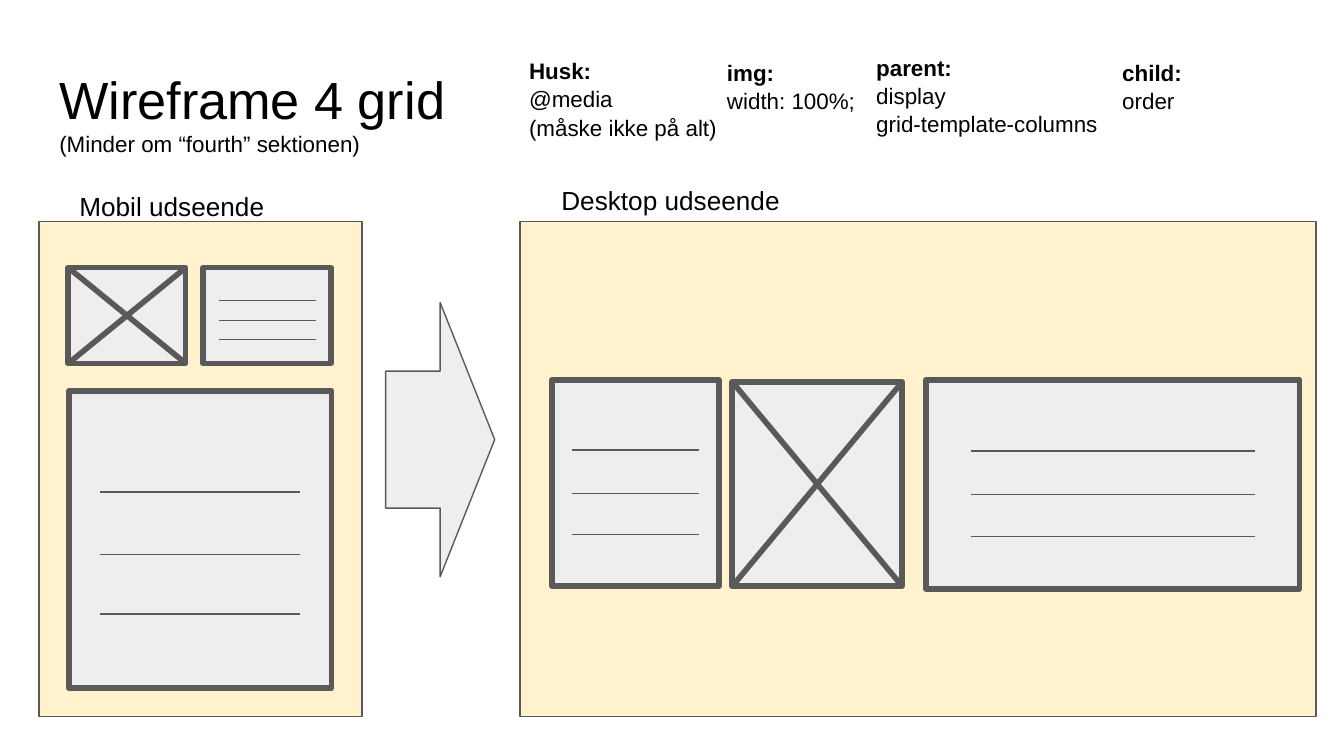
import pptx
import pptx.util
import pptx.dml.color
import pptx.enum.shapes
import pptx.enum.text
import pptx.oxml.ns
import lxml.etree

Cm, Pt = pptx.util.Cm, pptx.util.Pt
MSO_SHAPE = pptx.enum.shapes.MSO_SHAPE
COLORS = {"text": "000000", "screen": "FFF2CC", "block": "EEEEEE", "line": "595959"}


def rgb(name):
    return pptx.dml.color.RGBColor.from_string(COLORS[name])


def style_line(obj, width):
    """Grey outline with rounded joins and no shadow."""
    obj.line.color.rgb = rgb("line")
    obj.line.width = Pt(width)
    qn = pptx.oxml.ns.qn
    lxml.etree.SubElement(obj.line._get_or_add_ln(), qn("a:round"))
    lxml.etree.SubElement(obj._element.spPr, qn("a:effectLst"))


prs = pptx.Presentation()
prs.slide_width, prs.slide_height = Cm(25.4), Cm(14.29)
s = prs.slides.add_slide(prs.slide_layouts[5])

# Title with a small subtitle line
title = s.shapes.title
title.left, title.top, title.width, title.height = Cm(0.87), Cm(1.02), Cm(23.67), Cm(1.6)
tf = title.text_frame
tf.text = "Wireframe 4 grid\n(Minder om “fourth” sektionen)"
tf.auto_size = pptx.enum.text.MSO_AUTO_SIZE.NONE
tf.vertical_anchor = pptx.enum.text.MSO_ANCHOR.TOP
tf.margin_left = tf.margin_right = tf.margin_top = tf.margin_bottom = Cm(0.25)
for p, size in zip(tf.paragraphs, (28, 12)):
    p.alignment = pptx.enum.text.PP_ALIGN.LEFT
    p.font.name, p.font.size = "Arial", Pt(size)
    p.font.color.rgb = rgb("text")

# Screens and the arrow from mobile to desktop: kind, left, top, width, height, fill
backdrops = [
    (MSO_SHAPE.RECTANGLE, 9.83, 4.19, 15.04, 9.35, "screen"),
    (MSO_SHAPE.RIGHT_ARROW, 7.29, 5.72, 2.06, 5.18, "block"),
    (MSO_SHAPE.RECTANGLE, 0.74, 4.19, 6.1, 9.35, "screen"),
]
for kind, x, y, w, h, fill in backdrops:
    sp = s.shapes.add_shape(kind, Cm(x), Cm(y), Cm(w), Cm(h))
    sp.fill.solid()
    sp.fill.fore_color.rgb = rgb(fill)
    style_line(sp, 0.75)

# Wireframe blocks: an image is crossed out, a text holds three lines
blocks = [
    ("image", 13.84, 7.22, 3.21, 3.86),
    ("text", 10.43, 7.18, 3.16, 3.9),
    ("text", 17.5, 7.18, 7.06, 3.95),
    ("text", 3.84, 5.06, 2.42, 1.81),
    ("image", 1.29, 5.06, 2.22, 1.81),
    ("text", 1.3, 7.39, 4.97, 5.62),
]
# Line ends as shares of the block's width and height: x1, y1, x2, y2
strokes = {
    "image": [(0, 0, 1, 1), (0, 1, 1, 0)],
    "text": [(0.12, share, 0.88, share) for share in (0.34, 0.55, 0.75)],
}
widths = {"image": 3, "text": 0.75}
for kind, x, y, w, h in blocks:
    group = s.shapes.add_group_shape()
    sp = group.shapes.add_shape(MSO_SHAPE.RECTANGLE, Cm(x), Cm(y), Cm(w), Cm(h))
    sp.fill.solid()
    sp.fill.fore_color.rgb = rgb("block")
    style_line(sp, 3)
    for x1, y1, x2, y2 in strokes[kind]:
        line = group.shapes.add_connector(
            pptx.enum.shapes.MSO_CONNECTOR.STRAIGHT,
            Cm(x + x1 * w), Cm(y + y1 * h), Cm(x + x2 * w), Cm(y + y2 * h))
        style_line(line, widths[kind])

# Screen labels and CSS reminders: left, top, width, height, size, lines
texts = [
    (1.25, 3.35, 5.26, 1.19, 14, ["Mobil udseende"]),
    (10.36, 3.23, 8.31, 1.19, 14, ["Desktop udseende"]),
    (16.31, 0.75, 5.11, 2.77, 12, ["parent:", "display", "grid-template-columns"]),
    (13.49, 0.84, 3.78, 2.77, 12, ["img:", "width: 100%;"]),
    (9.75, 0.81, 4.24, 2.77, 12, ["Husk:", "@media", "(måske ikke på alt)"]),
    (20.96, 0.84, 3.78, 2.77, 12, ["child:", "order"]),
]
for x, y, w, h, size, lines in texts:
    tf = s.shapes.add_textbox(Cm(x), Cm(y), Cm(w), Cm(h)).text_frame
    tf.word_wrap = True
    tf.margin_left = tf.margin_right = tf.margin_top = tf.margin_bottom = Cm(0.25)
    tf.text = "\n".join(lines)
    for i, p in enumerate(tf.paragraphs):
        p.font.name, p.font.size = "Arial", Pt(size)
        p.font.color.rgb = rgb("text")
        p.font.bold = i == 0 and len(lines) > 1
        p.line_spacing = 1.05 if len(lines) > 1 else 1.0

prs.save("out.pptx")
